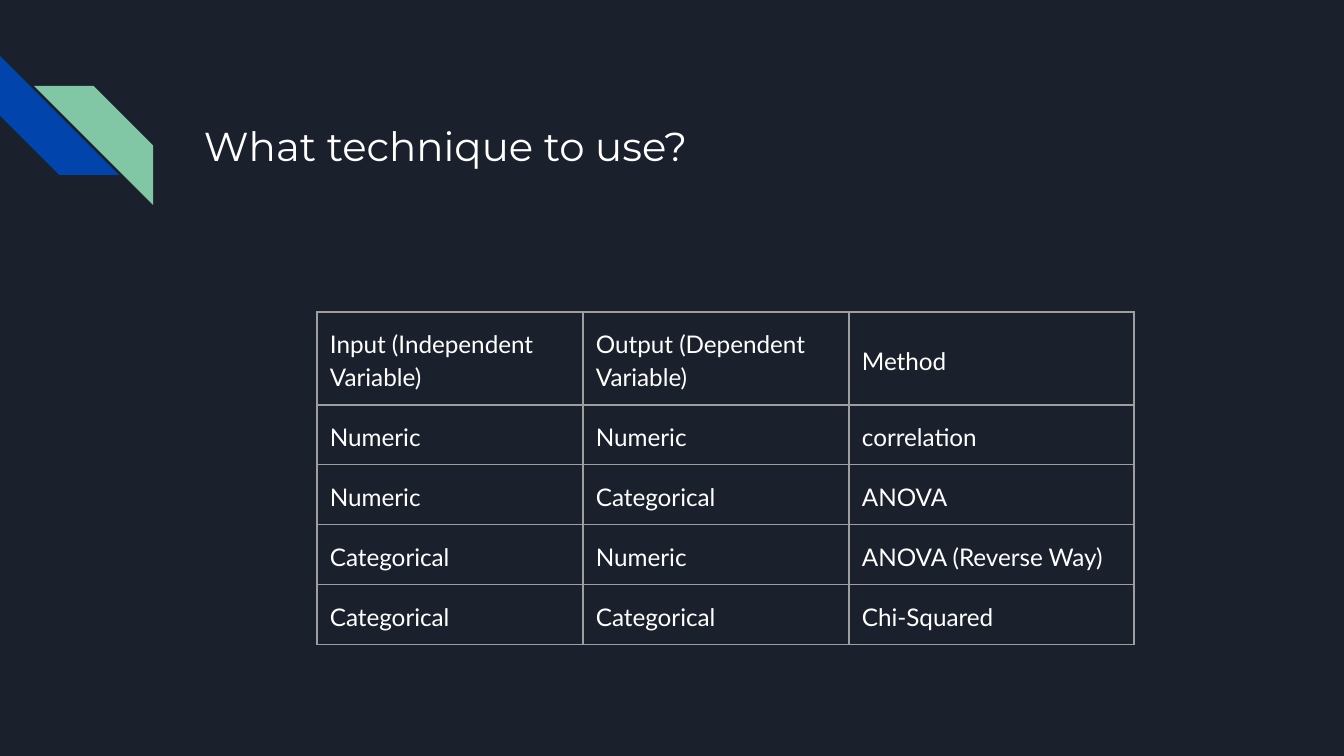
from dataclasses import dataclass

from lxml.etree import SubElement
from pptx import Presentation
from pptx.dml.color import RGBColor
from pptx.enum.shapes import MSO_SHAPE
from pptx.enum.text import MSO_ANCHOR
from pptx.oxml.ns import qn
from pptx.slide import Slide
from pptx.table import _Cell
from pptx.text.text import _Paragraph
from pptx.util import Emu, Pt

EMU_PER_PX = 914400 / 134.4
BACKGROUND = "1B212C"
WHITE = "FFFFFF"
GRID = "9E9E9E"
PADDING = 13

COLUMN_WIDTHS = [266, 266, 285]
ROW_HEIGHTS = [93, 60, 60, 60, 60]
TECHNIQUES = [
    ("Input (Independent Variable)", "Output (Dependent Variable)", "Method"),
    ("Numeric", "Numeric", "correlation"),
    ("Numeric", "Categorical", "ANOVA"),
    ("Categorical", "Numeric", "ANOVA (Reverse Way)"),
    ("Categorical", "Categorical", "Chi-Squared"),
]


@dataclass
class Stripe:
    left: int
    top: int
    size: int
    rotation: int
    colour: str


STRIPES = [
    Stripe(0, 56, 119, 270, "0145AC"),
    Stripe(34, 86, 119, 90, "82C7A5"),
]


def px(length: int) -> Emu:
    return Emu(round(length * EMU_PER_PX))


def rgb(colour: str) -> RGBColor:
    return RGBColor.from_string(colour)


def style(paragraph: _Paragraph, font: str, size: float) -> None:
    for run in paragraph.runs:
        run.font.name = font
        run.font.size = Pt(size)
        run.font.color.rgb = rgb(WHITE)


def draw_stripe(slide: Slide, stripe: Stripe) -> None:
    ribbon = slide.shapes.add_shape(
        MSO_SHAPE.DIAGONAL_STRIPE,
        px(stripe.left), px(stripe.top), px(stripe.size), px(stripe.size),
    )
    ribbon.adjustments[0] = 0.5
    ribbon.rotation = stripe.rotation
    ribbon.shadow.inherit = False
    ribbon.fill.solid()
    ribbon.fill.fore_color.rgb = rgb(stripe.colour)
    ribbon.line.fill.background()


def draw_title(slide: Slide, wording: str) -> None:
    title = slide.shapes.add_textbox(px(191), px(58), px(1035), px(134)).text_frame
    title.word_wrap = True
    title.vertical_anchor = MSO_ANCHOR.BOTTOM
    title.margin_left = title.margin_right = title.margin_top = px(PADDING)
    title.margin_bottom = px(22)
    title.text = wording
    style(title.paragraphs[0], "Montserrat", 21.6)


def draw_borders(cell: _Cell) -> None:
    properties = cell._tc.get_or_add_tcPr()
    for side in ("a:lnL", "a:lnR", "a:lnT", "a:lnB"):
        border = SubElement(properties, qn(side), w=str(Pt(0.75)))
        fill = SubElement(border, qn("a:solidFill"))
        SubElement(fill, qn("a:srgbClr"), val=GRID)


def fill_cell(cell: _Cell, wording: str) -> None:
    cell.text_frame.text = wording
    cell.vertical_anchor = MSO_ANCHOR.MIDDLE
    cell.margin_left = cell.margin_right = px(PADDING)
    cell.margin_top = cell.margin_bottom = px(PADDING)
    paragraph = cell.text_frame.paragraphs[0]
    paragraph.line_spacing = 1.15
    paragraph.space_after = Pt(12)
    style(paragraph, "Lato", 13)
    draw_borders(cell)
    cell.fill.background()


def draw_techniques(slide: Slide) -> None:
    table = slide.shapes.add_table(
        len(ROW_HEIGHTS), len(COLUMN_WIDTHS),
        px(317), px(312), px(sum(COLUMN_WIDTHS)), px(sum(ROW_HEIGHTS)),
    ).table
    table.first_row = False
    table.horz_banding = False
    for column, width in zip(table.columns, COLUMN_WIDTHS):
        column.width = px(width)
    for row, height, wordings in zip(table.rows, ROW_HEIGHTS, TECHNIQUES):
        row.height = px(height)
        for cell, wording in zip(row.cells, wordings):
            fill_cell(cell, wording)


def main() -> None:
    presentation = Presentation()
    presentation.slide_width = px(1344)
    presentation.slide_height = px(756)
    slide = presentation.slides.add_slide(presentation.slide_layouts[6])
    slide.background.fill.solid()
    slide.background.fill.fore_color.rgb = rgb(BACKGROUND)
    for stripe in STRIPES:
        draw_stripe(slide, stripe)
    draw_title(slide, "What technique to use?")
    draw_techniques(slide)
    presentation.save("out.pptx")


if __name__ == "__main__":
    main()
